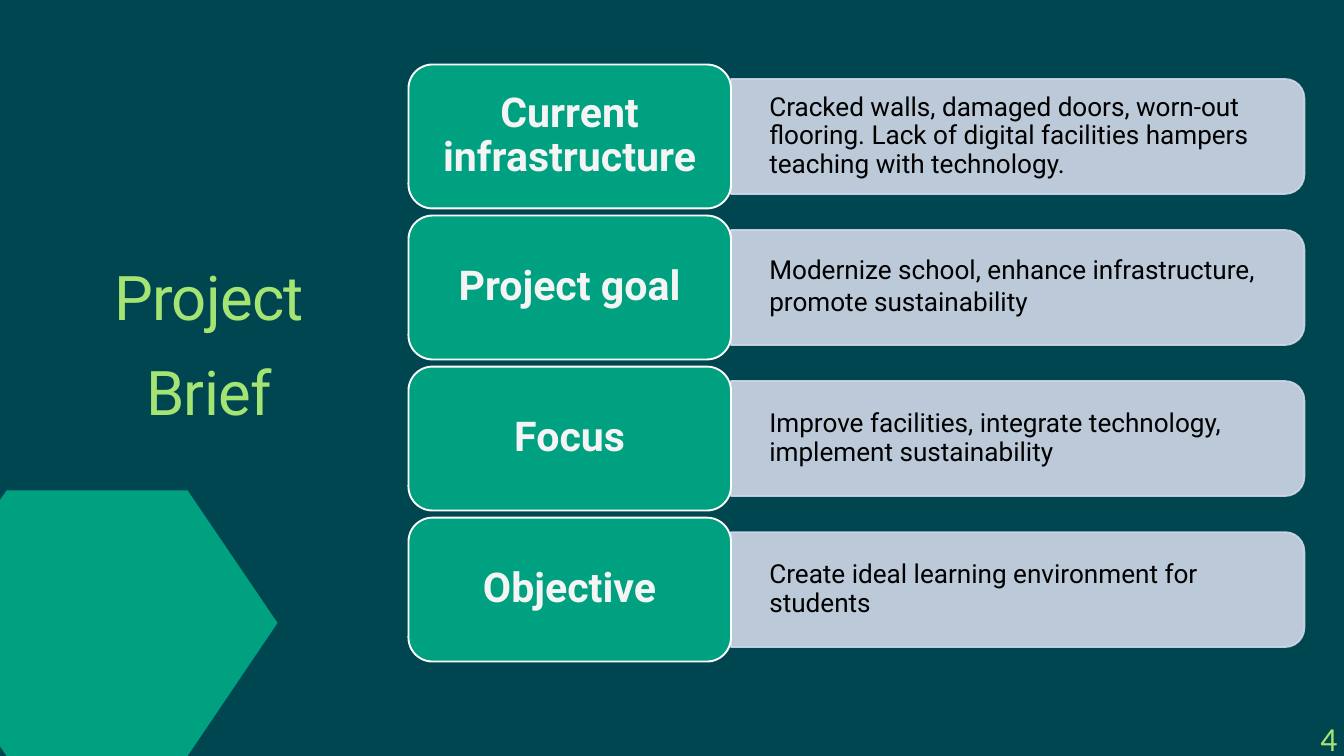
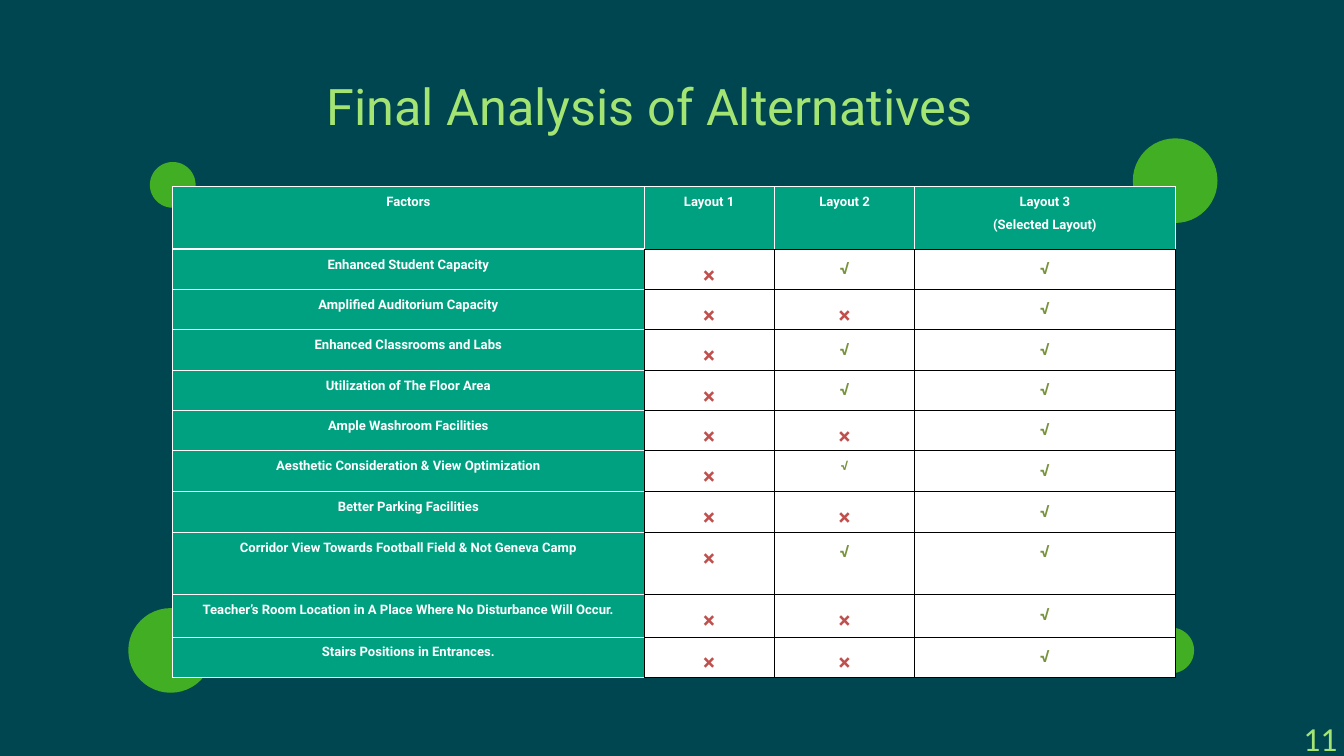
from dataclasses import dataclass, replace
from typing import Optional

from lxml import etree
from pptx import Presentation
from pptx.dml.color import RGBColor
from pptx.enum.shapes import MSO_SHAPE
from pptx.enum.text import MSO_ANCHOR, PP_ALIGN
from pptx.oxml.ns import qn
from pptx.util import Cm, Pt

LEFT, CENTER, RIGHT = PP_ALIGN.LEFT, PP_ALIGN.CENTER, PP_ALIGN.RIGHT
TOP, MIDDLE, BOTTOM = MSO_ANCHOR.TOP, MSO_ANCHOR.MIDDLE, MSO_ANCHOR.BOTTOM
OVAL = MSO_SHAPE.OVAL
CARD = MSO_SHAPE.ROUNDED_RECTANGLE
BAR = MSO_SHAPE.ROUND_2_SAME_RECTANGLE


@dataclass(frozen=True)
class Theme:
    background: str = "004651"
    accent: str = "00A181"
    title: str = "A4E473"
    circle: str = "5EDB12"
    bar: str = "D0D8E8"
    white: str = "FFFFFF"
    black: str = "000000"
    label: str = "F4F4F4"
    cross: str = "C0504D"
    check: str = "77933C"
    font: str = "Roboto"
    number_font: str = "Calibri"
    brief_title_size: float = 66
    title_size: float = 54
    label_size: float = 44
    number_size: float = 36
    body_size: float = 28
    cross_size: float = 24
    check_size: float = 18
    table_size: float = 14


THEME = Theme()


@dataclass(frozen=True)
class TextStyle:
    size: float
    color: str
    font: str = THEME.font
    bold: bool = False
    align: PP_ALIGN = LEFT
    line_spacing: Optional[float] = None
    gap: float = 0  # points between paragraphs
    tracking: int = 0  # hundredths of a point


@dataclass(frozen=True)
class Box:
    """Position and size in centimetres."""
    left: float
    top: float
    width: float
    height: float

    def lengths(self) -> tuple:
        return Cm(self.left), Cm(self.top), Cm(self.width), Cm(self.height)


@dataclass(frozen=True)
class BriefItem:
    label: str
    details: tuple[str, ...]


@dataclass(frozen=True)
class Circle:
    center_x: float
    center_y: float
    diameter: float


@dataclass(frozen=True)
class Factor:
    name: str
    marks: str  # one mark per layout
    height: float = 1.52
    second_size: Optional[float] = None


TITLE = TextStyle(THEME.title_size, THEME.title)
BRIEF_TITLE = replace(TITLE, size=THEME.brief_title_size, align=CENTER,
                      line_spacing=Pt(102), tracking=-80)
NUMBER = TextStyle(THEME.number_size, THEME.title, THEME.number_font, align=RIGHT)
LABEL = TextStyle(THEME.label_size, THEME.label, bold=True, align=CENTER, line_spacing=0.9)
DETAIL = TextStyle(THEME.body_size, THEME.black, line_spacing=0.9, gap=4.2)
FACTOR = TextStyle(THEME.table_size, THEME.white, bold=True, align=CENTER, line_spacing=1.5)
MARKS = {
    "×": replace(FACTOR, size=THEME.cross_size, color=THEME.cross),
    "√": replace(FACTOR, size=THEME.check_size, color=THEME.check),
}

# Brief: hexagon corners and the grid of cards
HEXAGON = [(10.49, 23.55), (7.09, 28.58), (0.25, 28.58),
           (-3.18, 23.55), (0.25, 18.54), (7.09, 18.54)]
FIRST_CARD = Box(15.44, 2.44, 12.19, 5.44)
CARD_PITCH = 5.71
BAR_LENGTH, BAR_THICKNESS = 21.67, 4.34
BRIEF_ITEMS = [
    BriefItem("Current infrastructure",
              ("Cracked walls, damaged doors, worn-out flooring. Lack of digital "
               "facilities hampers teaching with technology.",)),
    BriefItem("Project goal", ("Modernize school, enhance infrastructure,",
                               "promote sustainability")),
    BriefItem("Focus", ("Improve facilities, integrate technology, "
                        "implement sustainability",)),
    BriefItem("Objective", ("Create ideal learning environment for students",)),
]

# Analysis: corner circles and table contents
CIRCLES = [Circle(44.42, 6.83, 3.2), Circle(44.27, 24.59, 1.73),
           Circle(6.45, 24.59, 3.2), Circle(6.53, 6.99, 1.73)]
HEADERS = [("Factors",), ("Layout 1",), ("Layout 2",), ("Layout 3", "(Selected Layout)")]
COLUMN_WIDTHS = [17.81, 4.93, 5.31, 9.83]
HEADER_HEIGHT = 2.36
FACTORS = [
    Factor("Enhanced Student Capacity", "×√√"),
    Factor("Amplified Auditorium Capacity", "××√"),
    Factor("Enhanced Classrooms and Labs", "×√√"),
    Factor("Utilization of The Floor Area", "×√√"),
    Factor("Ample Washroom Facilities", "××√"),
    Factor("Aesthetic Consideration & View Optimization", "×√√", 1.55, THEME.table_size),
    Factor("Better Parking Facilities", "××√"),
    Factor("Corridor View Towards Football Field & Not Geneva Camp", "×√√", 2.36),
    Factor("Teacher’s Room Location in A Place Where No Disturbance Will Occur.", "××√", 1.6),
    Factor("Stairs Positions in Entrances.", "××√"),
]


def rgb(color: str) -> RGBColor:
    return RGBColor.from_string(color)


def write(frame, lines: tuple[str, ...], style: TextStyle) -> None:
    for index, line in enumerate(lines):
        paragraph = frame.add_paragraph() if index else frame.paragraphs[0]
        paragraph.alignment = style.align
        if style.line_spacing:
            paragraph.line_spacing = style.line_spacing
        if index and style.gap:
            paragraph.space_before = Pt(style.gap)
        run = paragraph.add_run()
        run.text = line
        run.font.name = style.font
        run.font.size = Pt(style.size)
        run.font.bold = style.bold
        run.font.color.rgb = rgb(style.color)
        if style.tracking:
            run._r.get_or_add_rPr().set("spc", str(style.tracking))


def set_frame(frame, anchor: MSO_ANCHOR, insets: tuple[float, ...]) -> None:
    frame.word_wrap = True
    frame.vertical_anchor = anchor
    (frame.margin_left, frame.margin_top,
     frame.margin_right, frame.margin_bottom) = map(Cm, insets)


def add_text(slide, box: Box, lines: tuple[str, ...], style: TextStyle,
             anchor: MSO_ANCHOR = TOP, insets: tuple[float, ...] = (0, 0, 0, 0)) -> None:
    frame = slide.shapes.add_textbox(*box.lengths()).text_frame
    set_frame(frame, anchor, insets)
    write(frame, lines, style)


def paint(shape, fill: str, line: Optional[str] = None, opacity: int = 100) -> None:
    shape.shadow.inherit = False
    shape.fill.solid()
    shape.fill.fore_color.rgb = rgb(fill)
    if line:
        shape.line.color.rgb = rgb(line)
        shape.line.width = Pt(2)
    else:
        shape.line.fill.background()
    if opacity < 100:
        for color in shape._element.spPr.iter(qn("a:srgbClr")):
            etree.SubElement(color, qn("a:alpha"), val=str(opacity * 1000))


def add_base_slide(presentation, number: str):
    slide = presentation.slides.add_slide(presentation.slide_layouts[6])
    slide.background.fill.solid()
    slide.background.fill.fore_color.rgb = rgb(THEME.background)
    add_text(slide, Box(40.84, 25.55, 9.96, 3.12), (number,), NUMBER,
             BOTTOM, (0.25, 0, 0.25, 0))
    return slide


def add_hexagon(slide) -> None:
    corners = [(Cm(x), Cm(y)) for x, y in HEXAGON]
    builder = slide.shapes.build_freeform(*corners[0])
    builder.add_line_segments(corners[1:], close=True)
    paint(builder.convert_to_shape(), THEME.accent)


def add_brief_item(slide, item: BriefItem, row: int) -> None:
    card = replace(FIRST_CARD, top=FIRST_CARD.top + row * CARD_PITCH)
    bar_left = card.left + card.width
    middle = card.top + card.height / 2

    # Detail bar: an upright shape turned so its round end points right
    bar_box = Box(bar_left + (BAR_LENGTH - BAR_THICKNESS) / 2, middle - BAR_LENGTH / 2,
                  BAR_THICKNESS, BAR_LENGTH)
    bar = slide.shapes.add_shape(BAR, *bar_box.lengths())
    bar.rotation = 90
    paint(bar, THEME.bar, THEME.bar, 90)
    add_text(slide, Box(bar_left, middle - 1.96, 21.46, 3.91), item.details, DETAIL,
             MIDDLE, (1.45, 0.36, 0.69, 0.36))

    # Label card
    label = slide.shapes.add_shape(CARD, *card.lengths())
    paint(label, THEME.accent, THEME.white)
    set_frame(label.text_frame, MIDDLE, (0.46, 0.23, 0.46, 0.23))
    write(label.text_frame, (item.label,), LABEL)


def set_border(cell, side: str, color: str, points: float) -> None:
    line = etree.SubElement(cell._tc.get_or_add_tcPr(), qn(f"a:ln{side}"),
                            w=str(Pt(points)))
    fill = etree.SubElement(line, qn("a:solidFill"))
    etree.SubElement(fill, qn("a:srgbClr"), val=color)


def fill_cell(cell, lines: tuple[str, ...], style: TextStyle, row: int, column: int) -> None:
    colored = row == 0 or column == 0
    edge = THEME.white if colored else THEME.black
    right = THEME.white if row == 0 else THEME.black
    bottom = THEME.white if column == 0 else THEME.black
    set_border(cell, "L", edge, 1)
    set_border(cell, "R", right, 1)
    set_border(cell, "T", edge, 1)
    set_border(cell, "B", bottom, 3 if row == column == 0 else 1)
    cell.fill.solid()
    cell.fill.fore_color.rgb = rgb(THEME.accent if colored else THEME.white)
    cell.margin_left = cell.margin_right = Cm(0.18)
    cell.margin_top = cell.margin_bottom = Cm(0)
    write(cell.text_frame, lines, style)


def add_factor_table(slide) -> None:
    heights = [HEADER_HEIGHT] + [factor.height for factor in FACTORS]
    box = Box(6.53, 7.06, sum(COLUMN_WIDTHS), sum(heights))
    table = slide.shapes.add_table(len(heights), len(COLUMN_WIDTHS), *box.lengths()).table
    table.first_row = table.horz_banding = False
    for column, width in zip(table.columns, COLUMN_WIDTHS):
        column.width = Cm(width)
    for row, height in zip(table.rows, heights):
        row.height = Cm(height)

    for column, lines in enumerate(HEADERS):
        fill_cell(table.cell(0, column), lines, FACTOR, 0, column)
    for row, factor in enumerate(FACTORS, start=1):
        fill_cell(table.cell(row, 0), (factor.name,), FACTOR, row, 0)
        for column, mark in enumerate(factor.marks, start=1):
            style = MARKS[mark]
            if column == 2 and factor.second_size:
                style = replace(style, size=factor.second_size)
            fill_cell(table.cell(row, column), (mark,), style, row, column)


def build_brief(presentation) -> None:
    slide = add_base_slide(presentation, "4")
    add_hexagon(slide)
    add_text(slide, Box(2.82, 8.99, 10.16, 6.99), ("Project", "Brief"), BRIEF_TITLE)
    for row, item in enumerate(BRIEF_ITEMS):
        add_brief_item(slide, item, row)


def build_analysis(presentation) -> None:
    slide = add_base_slide(presentation, "11")
    for circle in CIRCLES:
        radius = circle.diameter / 2
        box = Box(circle.center_x - radius, circle.center_y - radius,
                  circle.diameter, circle.diameter)
        paint(slide.shapes.add_shape(OVAL, *box.lengths()), THEME.circle, opacity=70)
    add_factor_table(slide)
    add_text(slide, Box(12.34, 2.84, 26.09, 2.31), ("Final Analysis of Alternatives",), TITLE)


def main() -> None:
    presentation = Presentation()
    presentation.slide_width, presentation.slide_height = Cm(50.8), Cm(28.58)
    build_brief(presentation)
    build_analysis(presentation)
    presentation.save("out.pptx")


if __name__ == "__main__":
    main()
